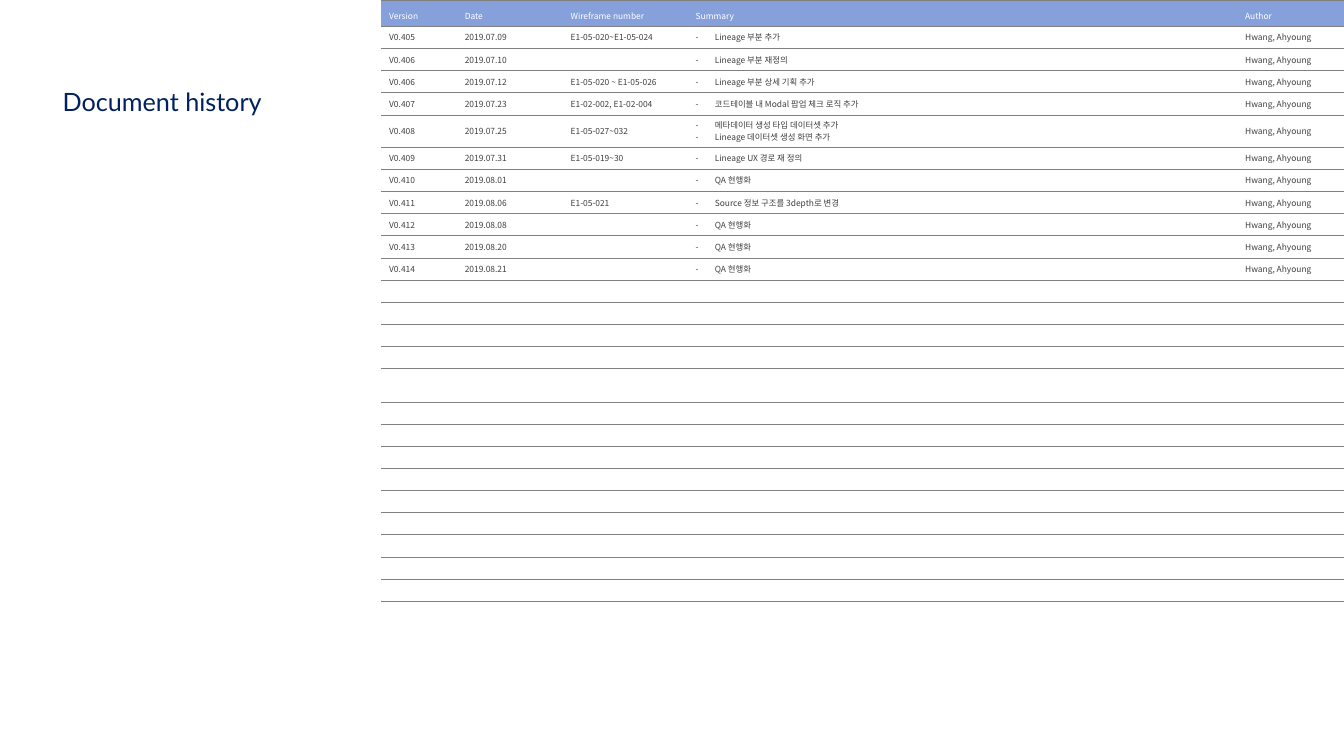
import pptx
import pptx.util
import pptx.dml.color
import pptx.enum.text
import pptx.oxml.ns
from lxml import etree

# Content
TITLE = "Document history"
HEADINGS = ["Version", "Date", "Wireframe number", "Summary", "Author"]
AUTHOR = "Hwang, Ahyoung"
HISTORY = [
    ("V0.405", "2019.07.09", "E1-05-020~E1-05-024", ["Lineage 부분 추가"]),
    ("V0.406", "2019.07.10", "", ["Lineage 부분 재정의"]),
    ("V0.406", "2019.07.12", "E1-05-020 ~ E1-05-026", ["Lineage 부분 상세 기획 추가"]),
    ("V0.407", "2019.07.23", "E1-02-002, E1-02-004", ["코드테이블 내 Modal 팝업 체크 로직 추가"]),
    ("V0.408", "2019.07.25", "E1-05-027~032",
     ["메타데이터 생성 타입 데이터셋 추가", "Lineage 데이터셋 생성 화면 추가"]),
    ("V0.409", "2019.07.31", "E1-05-019~30", ["Lineage UX 경로 재 정의"]),
    ("V0.410", "2019.08.01", "", ["QA 현행화"]),
    ("V0.411", "2019.08.06", "E1-05-021", ["Source 정보 구조를 3depth로 변경"]),
    ("V0.412", "2019.08.08", "", ["QA 현행화"]),
    ("V0.413", "2019.08.20", "", ["QA 현행화"]),
    ("V0.414", "2019.08.21", "", ["QA 현행화"]),
]

# Format and grid
COLORS = {"header": "86A0DB", "body": "FFFFFF", "rule": "808080",
          "heading": "FFFFFF", "text": "404040", "title": "002060"}
TABLE_FONT, TITLE_FONT = "Noto Sans CJK KR", "Lato"
COLUMNS = [0.75, 1.05, 1.24, 5.45, 1.07]
ROW_COUNT, ROW_HEIGHT, HEADER_HEIGHT = 26, 0.22, 0.23
TALL_ROW, TALL_HEIGHT = 16, 0.33
INDENT = 0.19
RULE_WIDTH = 0.25
inch = pptx.util.Inches


def color(name):
    return pptx.dml.color.RGBColor.from_string(COLORS[name])


def add_xml(parent, tag, **attributes):
    child = etree.SubElement(parent, pptx.oxml.ns.qn(tag))
    for name, value in attributes.items():
        child.set(name, str(value))
    return child


def write(frame, lines, *, font, size, ink, spacing=None, bullet=None):
    """Fill a text frame with one paragraph per line."""
    for index, line in enumerate(lines):
        para = frame.paragraphs[0] if index == 0 else frame.add_paragraph()
        para.alignment = pptx.enum.text.PP_ALIGN.LEFT
        if spacing:
            para.line_spacing = spacing
        if bullet:
            properties = para._p.get_or_add_pPr()
            properties.set("marL", str(inch(INDENT)))
            properties.set("indent", str(-inch(INDENT)))
            add_xml(properties, "a:buFont", typeface=font)
            add_xml(properties, "a:buChar", char=bullet)
        if not line:
            add_xml(para._p, "a:endParaRPr", sz=size * 100)
            continue
        span = para.add_run()
        span.text = line
        span.font.name = font
        span.font.size = pptx.util.Pt(size)
        span.font.color.rgb = color(ink)
        add_xml(span._r.get_or_add_rPr(), "a:ea", typeface=font)


def set_borders(cell):
    """Rule the top and bottom of a cell and leave its sides open."""
    properties = cell._tc.get_or_add_tcPr()
    for index, side in enumerate(["L", "R", "T", "B"]):
        line = add_xml(properties, "a:ln" + side, w=pptx.util.Pt(RULE_WIDTH))
        if side in "LR":
            add_xml(line, "a:noFill")
        else:
            add_xml(add_xml(line, "a:solidFill"), "a:srgbClr", val=COLORS["rule"])
        properties.insert(index, line)


deck = pptx.Presentation()
deck.slide_width, deck.slide_height = inch(13.33), inch(7.5)
page = deck.slides.add_slide(deck.slide_layouts[5])

# Title
title = page.shapes.title
title.left, title.top, title.width, title.height = map(inch, (0.52, 0.85, 11.5, 0.36))
title.text_frame.auto_size = pptx.enum.text.MSO_AUTO_SIZE.NONE
title.text_frame.vertical_anchor = pptx.enum.text.MSO_ANCHOR.MIDDLE
write(title.text_frame, [TITLE], font=TITLE_FONT, size=18, ink="title", spacing=0.9)

# History table, behind the title
heights = [HEADER_HEIGHT] + [ROW_HEIGHT] * (ROW_COUNT - 1)
heights[TALL_ROW] = TALL_HEIGHT
holder = page.shapes.add_table(ROW_COUNT, len(COLUMNS), inch(3.78), 0,
                               inch(sum(COLUMNS)), inch(sum(heights)))
title.element.addprevious(holder.element)
table = holder.table
table.first_row = table.horz_banding = False
for column, width in zip(table.columns, COLUMNS):
    column.width = inch(width)
for row, height in zip(table.rows, heights):
    row.height = inch(height)

entries = [[version, date, wireframe, summary, AUTHOR]
           for version, date, wireframe, summary in HISTORY]
blanks = [[""] * len(COLUMNS)] * (ROW_COUNT - 1 - len(entries))
for row_index, values in enumerate([HEADINGS] + entries + blanks):
    is_header = row_index == 0
    for column_index, value in enumerate(values):
        cell = table.cell(row_index, column_index)
        cell.fill.solid()
        cell.fill.fore_color.rgb = color("header" if is_header else "body")
        cell.vertical_anchor = pptx.enum.text.MSO_ANCHOR.MIDDLE
        cell.margin_left = cell.margin_right = inch(0.08)
        cell.margin_top = cell.margin_bottom = inch(0.04)
        set_borders(cell)
        is_list = isinstance(value, list)
        write(cell.text_frame, value if is_list else [value], font=TABLE_FONT, size=6,
              ink="heading" if is_header else "text",
              spacing=1.5 if is_header else None, bullet="-" if is_list else None)

deck.save("out.pptx")
